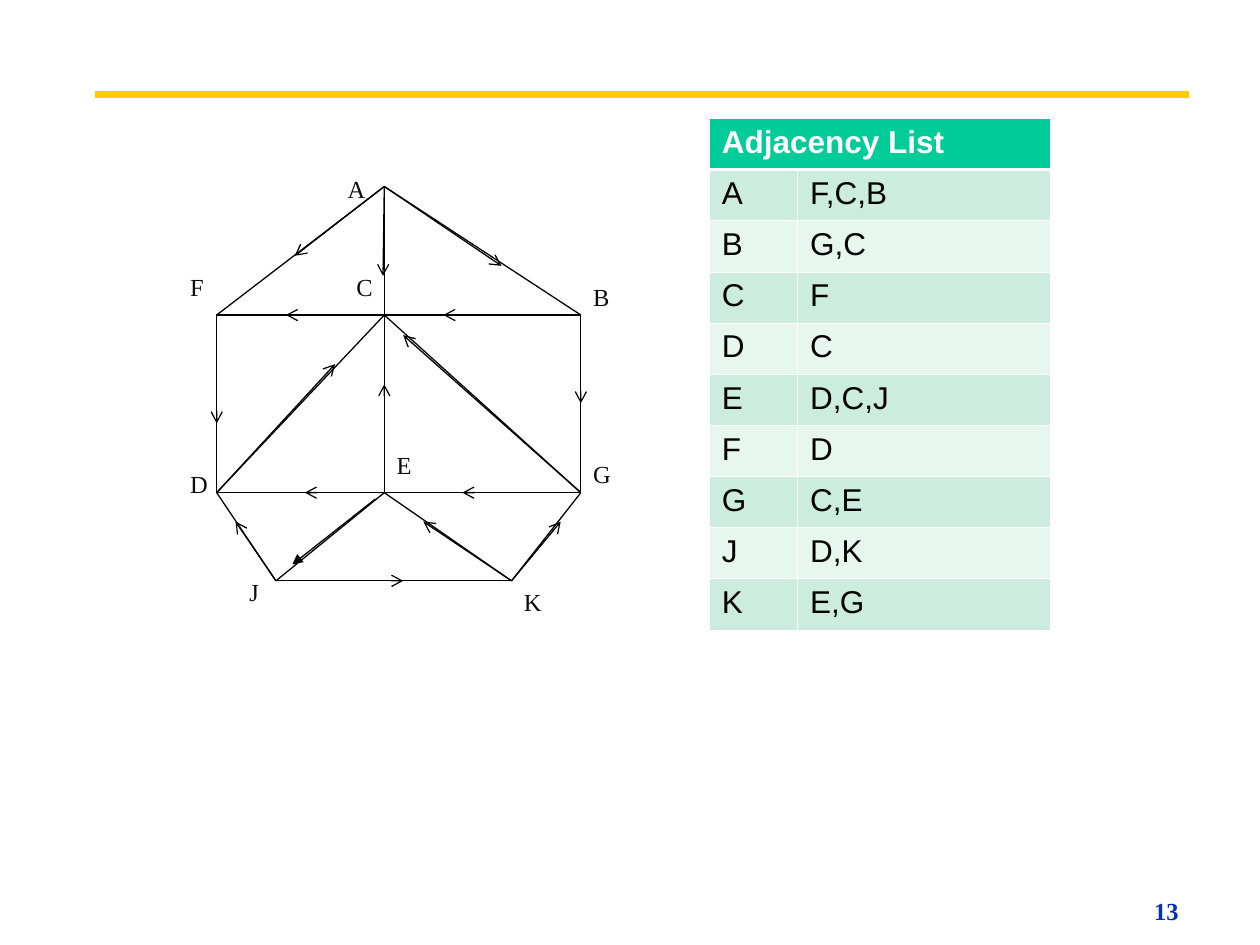
from lxml import etree
from pptx import Presentation
from pptx.dml.color import RGBColor
from pptx.enum import shapes, text
from pptx.oxml import ns
from pptx.util import Inches, Pt

BLACK = RGBColor(0x00, 0x00, 0x00)
INK = RGBColor(0x0D, 0x0D, 0x0D)
WHITE = RGBColor(0xFF, 0xFF, 0xFF)
BLUE = RGBColor(0x03, 0x32, 0xB7)
GOLD = RGBColor(0xFF, 0xCC, 0x00)
GREEN = RGBColor(0x00, 0xCC, 0x99)
MINT = RGBColor(0xCB, 0xEC, 0xDE)
PALE = RGBColor(0xE7, 0xF6, 0xEF)

deck = Presentation()
deck.slide_width, deck.slide_height = Inches(10), Inches(7.5)
slide = deck.slides.add_slide(deck.slide_layouts[6])


def write(frame, words, size=14, font="Times New Roman", color=INK, bold=False):
    run = frame.paragraphs[0].add_run()
    run.text = words
    run.font.size = Pt(size)
    run.font.name = font
    run.font.color.rgb = color
    run.font.bold = bold


def draw(start, end, color=BLACK, width=0.75, head=None):
    ends = [Inches(n) for n in (*start, *end)]
    line = slide.shapes.add_connector(shapes.MSO_CONNECTOR.STRAIGHT, *ends)
    line.line.color.rgb = color
    line.line.width = Pt(width)
    if head:
        tip = etree.SubElement(line.line._get_or_add_ln(), ns.qn("a:tailEnd"))
        tip.set("type", head)
    etree.SubElement(line._element.spPr, ns.qn("a:effectLst"))


page = slide.shapes.add_textbox(Inches(9.09), Inches(7.08), Inches(1.02), Inches(0.29)).text_frame
page.word_wrap = False
page.margin_left = page.margin_right = Inches(0.07)
page.margin_top = page.margin_bottom = Inches(0.03)
write(page, "13", color=BLUE, bold=True)
draw((0.75, 0.75), (9.44, 0.75), color=GOLD, width=4.5)

nodes = {
    "A": (3.05, 1.48), "F": (1.72, 2.5), "C": (3.05, 2.5), "B": (4.61, 2.5),
    "D": (1.72, 3.91), "E": (3.05, 3.91), "G": (4.61, 3.91),
    "J": (2.19, 4.61), "K": (4.06, 4.61),
}
left, top = nodes["F"]
right, base = nodes["G"]
frame = slide.shapes.add_shape(
    shapes.MSO_SHAPE.RECTANGLE, Inches(left), Inches(top), Inches(right - left), Inches(base - top))
frame.shadow.inherit = False
frame.fill.background()
frame.line.color.rgb = BLACK
frame.line.width = Pt(0.75)

for start, end in ("FA", "AB", "DJ", "GK", "JK", "AE", "JE", "EK", "DC", "CG"):
    draw(nodes[start], nodes[end])

arrows = [
    (nodes["A"], (2.34, 2.03)), (nodes["A"], (3.98, 2.11)), (nodes["A"], (3.04, 2.19)),
    ((3.16, 2.5), (2.27, 2.5)), (nodes["B"], (3.52, 2.5)), (nodes["E"], (3.05, 3.05)),
    (nodes["G"], (3.2, 2.66)), (nodes["D"], (2.66, 2.89)), (nodes["K"], (3.36, 4.14)),
    ((4.53, 3.91), (3.67, 3.91)), ((3.16, 3.91), (2.42, 3.91)), (nodes["F"], (1.72, 3.36)),
    (nodes["B"], (4.61, 3.2)), (nodes["J"], (1.87, 4.14)), (nodes["K"], (4.45, 4.14)),
    ((2.42, 4.61), (3.2, 4.61)),
]
for start, end in arrows:
    draw(start, end, head="arrow")

labels = {
    "A": (2.66, 1.33), "F": (1.41, 2.11), "B": (4.61, 2.19), "G": (4.61, 3.59),
    "D": (1.41, 3.67), "J": (1.88, 4.53), "K": (4.06, 4.61), "E": (3.05, 3.52),
    "C": (2.73, 2.11),
}
for name, (x, y) in labels.items():
    label = slide.shapes.add_textbox(Inches(x), Inches(y), Inches(0.31), Inches(0.34)).text_frame
    label.word_wrap = True
    label.auto_size = text.MSO_AUTO_SIZE.SHAPE_TO_FIT_TEXT
    write(label, name)

rows = [
    ("Adjacency List", ""), ("A", "F,C,B"), ("B", "G,C"), ("C", "F"), ("D", "C"),
    ("E", "D,C,J"), ("F", "D"), ("G", "C,E"), ("J", "D,K"), ("K", "E,G"),
]
table = slide.shapes.add_table(
    len(rows), 2, Inches(5.63), Inches(0.94), Inches(2.71), Inches(4.06)).table
table.columns[0].width = Inches(0.7)
table.columns[1].width = Inches(2.01)
table.cell(0, 0).merge(table.cell(0, 1))
for r, row in enumerate(rows):
    for c, words in enumerate(row):
        cell = table.cell(r, c)
        props = cell._tc.get_or_add_tcPr()
        for side in "LRTB":
            thick = (r, side) in ((0, "B"), (1, "T"))
            edge = etree.SubElement(props, ns.qn("a:ln" + side), w=str(Pt(1.47 if thick else 0.45)))
            paint = etree.SubElement(edge, ns.qn("a:solidFill"))
            etree.SubElement(paint, ns.qn("a:srgbClr"), val=str(WHITE))
        cell.fill.solid()
        cell.fill.fore_color.rgb = GREEN if r == 0 else MINT if r % 2 else PALE
        if words:
            write(cell.text_frame, words, size=18, font="Arial",
                  color=BLACK if r else WHITE, bold=r == 0)

draw((2.98, 3.96), (2.32, 4.48), head="triangle")

deck.save("out.pptx")
